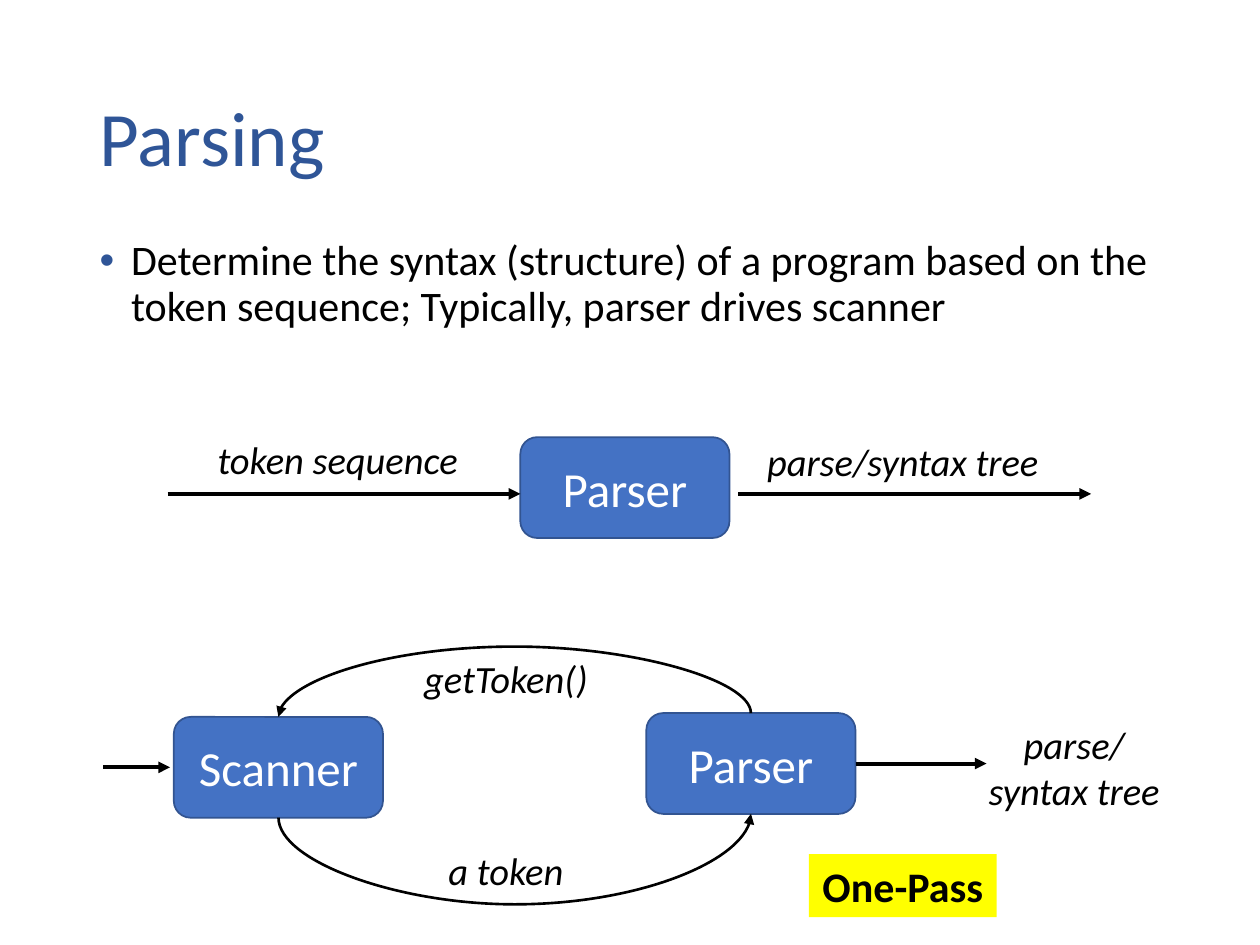
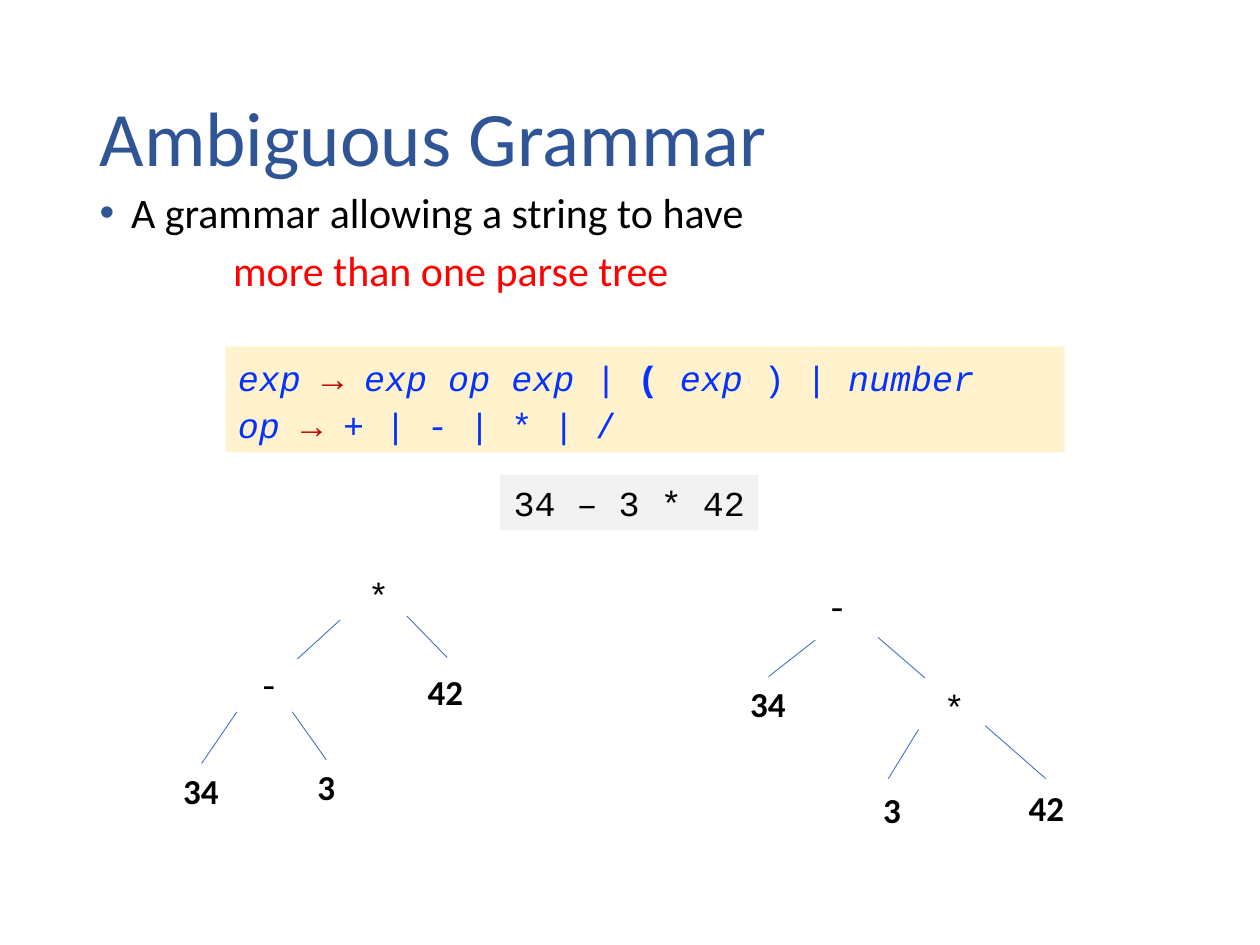
import lxml.etree
import pptx
import pptx.dml.color
import pptx.enum.shapes
import pptx.enum.text
import pptx.oxml.ns
import pptx.util

Inches, Pt = pptx.util.Inches, pptx.util.Pt
RGBColor = pptx.dml.color.RGBColor
ALIGN = pptx.enum.text.PP_ALIGN
ANCHOR = pptx.enum.text.MSO_ANCHOR
FIT = pptx.enum.text.MSO_AUTO_SIZE
CONNECTOR = pptx.enum.shapes.MSO_CONNECTOR

BLACK = RGBColor(0x00, 0x00, 0x00)
WHITE = RGBColor(0xFF, 0xFF, 0xFF)
NAVY = RGBColor(0x2F, 0x55, 0x97)
BLUE = RGBColor(0x44, 0x72, 0xC4)
BOX_EDGE = RGBColor(0x32, 0x54, 0x91)
RED = RGBColor(0xFF, 0x00, 0x00)
DARK_RED = RGBColor(0xC0, 0x00, 0x00)
CODE_BLUE = RGBColor(0x04, 0x32, 0xFF)
YELLOW = RGBColor(0xFF, 0xFF, 0x00)
CREAM = RGBColor(0xFF, 0xF2, 0xCC)
GREY = RGBColor(0xF2, 0xF2, 0xF2)

SANS, MONO = "Calibri", "Courier New"


def add_xml(parent, tag, **attributes):
    return lxml.etree.SubElement(parent, pptx.oxml.ns.qn(tag), **attributes)


def write(paragraph, text, size=22, font=SANS, color=BLACK, bold=False, italic=False):
    run = paragraph.add_run()
    run.text = text
    run.font.size = Pt(size)
    run.font.name = font
    run.font.color.rgb = color
    run.font.bold = bold
    run.font.italic = italic


def paragraphs(frame, count):
    """Return the frame's first paragraph followed by new ones, count in all."""
    return [frame.paragraphs[0]] + [frame.add_paragraph() for _ in range(count - 1)]


def place(shape, left, top, width, height):
    shape.left, shape.top = Inches(left), Inches(top)
    shape.width, shape.height = Inches(width), Inches(height)


class Deck:
    BOX_WIDTH, BOX_HEIGHT = 1.66, 0.8

    def __init__(self):
        self.presentation = pptx.Presentation()
        self.presentation.slide_width = Inches(10)
        self.presentation.slide_height = Inches(7.5)
        self.slide = None

    def start(self, heading):
        layout = self.presentation.slide_layouts[1]
        self.slide = self.presentation.slides.add_slide(layout)
        title = self.slide.shapes.title
        place(title, 0.69, 0.4, 8.62, 1.45)
        title.text_frame.vertical_anchor = ANCHOR.MIDDLE
        title.text_frame.auto_size = FIT.NONE
        line = title.text_frame.paragraphs[0]
        line.alignment = ALIGN.LEFT
        line.line_spacing = 0.9
        write(line, heading, size=44, color=NAVY)

    def body(self, area, point, continuation=None, spacing=0.9):
        """Fill the body with a bulleted point and an indented line below it."""
        body = self.slide.placeholders[1]
        place(body, *area)
        frame = body.text_frame
        frame.auto_size = FIT.NONE
        lines = [(point, BLACK, 0.25, -0.25)]
        if continuation:
            lines.append((continuation, RED, 1.06, 0))
        for line, (text, color, margin, indent) in zip(paragraphs(frame, len(lines)), lines):
            line.line_spacing = spacing
            line.space_before = Pt(10)
            write(line, text, size=24, color=color)
            properties = line._p.get_or_add_pPr()
            properties.set("marL", str(Inches(margin)))
            properties.set("indent", str(Inches(indent)))
            if indent:
                bullet_color = add_xml(properties, "a:buClr")
                add_xml(bullet_color, "a:srgbClr", val=str(NAVY))
                add_xml(properties, "a:buFont", typeface="Arial")
                add_xml(properties, "a:buChar", char="•")
            else:
                add_xml(properties, "a:buNone")

    def frame(self, left, top, width, height, fill=None, wrap=False):
        box = self.slide.shapes.add_textbox(
            Inches(left), Inches(top), Inches(width), Inches(height))
        if fill is not None:
            box.fill.solid()
            box.fill.fore_color.rgb = fill
        box.text_frame.word_wrap = wrap
        box.text_frame.auto_size = FIT.SHAPE_TO_FIT_TEXT
        return box.text_frame

    def label(self, text, left, top, width, height=0.47, fill=None, **style):
        lines = text.split("\n")
        frame = self.frame(left, top, width, height, fill)
        for paragraph, line in zip(paragraphs(frame, len(lines)), lines):
            paragraph.alignment = ALIGN.CENTER
            write(paragraph, line, **style)

    def code(self, lines, left, top, width, height, fill):
        """Write lines made of (text, format) pieces in the code font."""
        frame = self.frame(left, top, width, height, fill, wrap=True)
        for paragraph, pieces in zip(paragraphs(frame, len(lines)), lines):
            paragraph.line_spacing = 1.1
            for text, style in pieces:
                write(paragraph, text, size=20, font=MONO, **style)

    def stage(self, text, left, top):
        box = self.slide.shapes.add_shape(
            pptx.enum.shapes.MSO_SHAPE.ROUNDED_RECTANGLE, Inches(left), Inches(top),
            Inches(self.BOX_WIDTH), Inches(self.BOX_HEIGHT))
        box.shadow.inherit = False
        box.fill.solid()
        box.fill.fore_color.rgb = BLUE
        box.line.color.rgb = BOX_EDGE
        box.line.width = Pt(1)
        box.text_frame.vertical_anchor = ANCHOR.MIDDLE
        line = box.text_frame.paragraphs[0]
        line.alignment = ALIGN.CENTER
        write(line, text, size=28, color=WHITE)

    def connect(self, start, end, color=BLACK, width=2.25, arrow=True,
                kind=CONNECTOR.STRAIGHT):
        line = self.slide.shapes.add_connector(
            kind, *(Inches(length) for length in (*start, *end)))
        line.line.color.rgb = color
        line.line.width = Pt(width)
        if arrow:
            add_xml(line.line._get_or_add_ln(), "a:tailEnd", type="triangle")
        add_xml(line._element.spPr, "a:effectLst")
        return line

    def arc(self, start, end, depth, turn):
        """Curve between two points, bulging by depth; turn is 90 (down) or 270 (up)."""
        span, rise = abs(end[0] - start[0]), abs(end[1] - start[1])
        x, y = (start[0] + end[0]) / 2, (start[1] + end[1]) / 2
        curve = self.connect((x + rise / 2, y + span / 2), (x - rise / 2, y - span / 2),
                             width=1.5, kind=CONNECTOR.CURVE)
        properties = curve._element.spPr
        properties.find(pptx.oxml.ns.qn("a:xfrm")).set("rot", str(turn * 60000))
        adjustments = properties.find(".//" + pptx.oxml.ns.qn("a:avLst"))
        add_xml(adjustments, "a:gd", name="adj1", fmla=f"val {round(-depth / rise * 100000)}")

    def tree(self, nodes, edges):
        for text, left, top in nodes:
            if text.isdigit():
                self.label(text, left, top, 0.19 + 0.15 * len(text), 0.44, size=20, bold=True)
            else:
                self.label(text, left, top, 0.37, 0.44, size=20, font=MONO)
        for start, end in edges:
            self.connect(start, end, color=BLUE, width=0.5, arrow=False)


def parsing(deck):
    deck.start("Parsing")
    deck.body((0.69, 1.85, 8.63, 0.9),
              "Determine the syntax (structure) of a program based on the token sequence; "
              "Typically, parser drives scanner")
    for text, left, top in (("Parser", 4.13, 3.47), ("Parser", 5.13, 5.66),
                            ("Scanner", 1.38, 5.69)):
        deck.stage(text, left, top)
    for left, right, y in ((1.33, 4.13, 3.92), (5.86, 8.66, 3.92),
                           (6.79, 7.83, 6.06), (0.82, 1.35, 6.09)):
        deck.connect((left, y), (right, y))
    deck.arc((5.96, 5.66), (2.21, 5.69), depth=0.53, turn=270)
    deck.arc((2.21, 6.49), (5.96, 6.46), depth=0.69, turn=90)
    for text, left, top, width in (("token sequence", 1.58, 3.41, 2.2),
                                   ("parse/syntax tree", 5.98, 3.43, 2.37),
                                   ("getToken()", 3.26, 5.15, 1.51),
                                   ("a token", 3.44, 6.67, 1.15)):
        deck.label(text, left, top, width, italic=True)
    deck.label("parse/\nsyntax tree", 7.74, 5.67, 1.57, 0.84, italic=True)
    deck.label("One-Pass", 6.42, 6.78, 1.49, 0.5, fill=YELLOW, size=24, bold=True)


def ambiguous_grammar(deck):
    deck.start("Ambiguous Grammar")
    deck.body((0.69, 1.51, 9.31, 0.94), "A grammar allowing a string to have",
              "more than one parse tree", spacing=0.8)
    symbol = {"color": CODE_BLUE}
    name = {"color": CODE_BLUE, "italic": True}
    grammar = [
        [("exp ", name), ("→ ", {"color": DARK_RED}), ("exp op exp ", name), ("| ", symbol),
         ("(", {"color": CODE_BLUE, "bold": True}), (" exp ", name), (") |", symbol),
         (" number", name)],
        [("op ", name), ("→ ", {"color": DARK_RED, "italic": True}),
         ("+ | - | * | /", symbol)],
    ]
    deck.code(grammar, 1.79, 2.75, 6.66, 0.84, CREAM)
    deck.label("34 – 3 * 42", 3.97, 3.77, 2.05, 0.44, fill=GREY, size=20, font=MONO)
    deck.tree(
        nodes=[("*", 2.82, 4.5), ("-", 1.95, 5.21), ("42", 3.29, 5.27),
               ("34", 1.35, 6.06), ("3", 2.42, 6.03)],
        edges=[((2.7, 4.92), (2.36, 5.23)), ((3.23, 4.89), (3.55, 5.22)),
               ((1.88, 5.65), (1.6, 6.06)), ((2.32, 5.65), (2.59, 6.03))])
    deck.tree(
        nodes=[("-", 6.46, 4.59), ("34", 5.85, 5.37), ("*", 7.39, 5.39),
               ("3", 6.91, 6.21), ("42", 8.06, 6.19)],
        edges=[((6.47, 5.08), (6.1, 5.37)), ((6.97, 5.06), (7.34, 5.38)),
               ((7.29, 5.79), (7.05, 6.18)), ((7.82, 5.76), (8.3, 6.18))])


def main():
    deck = Deck()
    parsing(deck)
    ambiguous_grammar(deck)
    deck.presentation.save("out.pptx")


if __name__ == "__main__":
    main()
